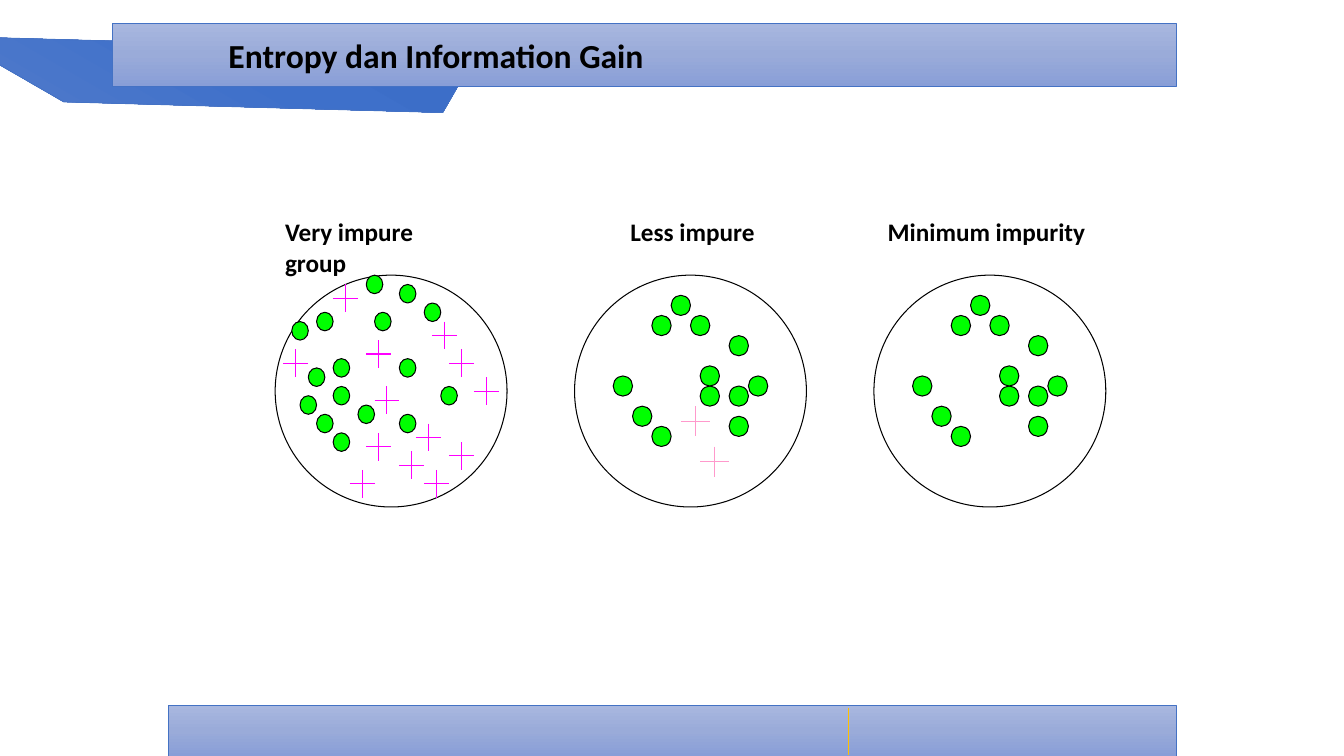
from copy import deepcopy

from lxml import etree
from pptx import Presentation
from pptx.dml.color import RGBColor
from pptx.enum.shapes import MSO_CONNECTOR as Connector, MSO_SHAPE as Shape
from pptx.enum.text import MSO_ANCHOR as Anchor, MSO_AUTO_SIZE as AutoSize, PP_ALIGN as Align
from pptx.oxml.ns import qn
from pptx.util import Inches, Pt

COLORS = {
    "black": "000000",
    "green": "00FF00",
    "magenta": "FF00FF",
    "pink": "FF99CC",
    "gold": "FFC000",
    "blue": "4472C4",
}
BAND = ["A8B7DF", "9AABD9", "889ED7"]
STRIPE = ["6183CB", "3E70CA", "3062BB"]

presentation = Presentation()
presentation.slide_width = Inches(13.33)
presentation.slide_height = Inches(7.5)
slide = presentation.slides.add_slide(presentation.slide_layouts[5])
COLUMN = presentation.slide_width / 160
ROW = presentation.slide_height / 90


def add_figure(kind, left, top, width, height, fills, line, points):
    shape = slide.shapes.add_shape(
        kind, round(left * COLUMN), round(top * ROW), round(width * COLUMN), round(height * ROW))
    shape.shadow.inherit = False
    shape.line.color.rgb = RGBColor.from_string(COLORS[line])
    shape.line.width = Pt(points)
    if not fills:
        shape.fill.background()
    elif len(fills) == 1:
        shape.fill.solid()
        shape.fill.fore_color.rgb = RGBColor.from_string(fills[0])
    else:
        shape.fill.gradient()
        shape.fill.gradient_angle = 270
        first_stop = shape._element.spPr.find(".//" + qn("a:gs"))
        first_stop.addnext(deepcopy(first_stop))
        for stop, position, color in zip(shape.fill.gradient_stops, (0, 0.5, 1), fills):
            stop.position = position
            stop.color.rgb = RGBColor.from_string(color)
    return shape


def add_stroke(x1, y1, x2, y2, color, points):
    stroke = slide.shapes.add_connector(
        Connector.STRAIGHT, round(x1 * COLUMN), round(y1 * ROW), round(x2 * COLUMN), round(y2 * ROW))
    stroke.line.color.rgb = RGBColor.from_string(COLORS[color])
    stroke.line.width = Pt(points)
    etree.SubElement(stroke._element.spPr, qn("a:effectLst"))


add_figure(Shape.RECTANGLE, 20, 84, 120, 6, BAND, "blue", 0.5)
add_stroke(101, 84.24, 101, 89.88, "gold", 1)
stripe = add_figure(Shape.DIAGONAL_STRIPE, -2.16, -9.72, 55.32, 29.88, STRIPE, "blue", 0.5)
stripe.adjustments[0] = 0.718
stripe.rotation = 210
add_figure(Shape.RECTANGLE, 13.44, 2.76, 126.6, 7.56, BAND, "blue", 0.5)

title = slide.shapes.title
slide.shapes._spTree.append(title._element)
title.left, title.top = round(26 * COLUMN), round(-1 * ROW)
title.width, title.height = round(108 * COLUMN), round(15 * ROW)

CIRCLE_LEFT, CIRCLE_TOP, CIRCLE_STEP, DIAMETER = 32.76, 32.76, 35.64, 27.6
mixed_dots = [
    (20, 12), (15, 9), (5, 4), (3, 13), (7, 12), (15, 1), (11, 0), (12, 4),
    (18, 3), (15, 15), (5, 15), (7, 17), (10, 14), (7, 9), (4, 10), (2, 5),
]
mixed_crosses = [
    (7, 1), (11, 7), (11, 17), (19, 5), (1, 8), (15, 19), (9, 21),
    (21, 18), (12, 12), (17, 16), (18, 21), (21, 8), (24, 11),
]
pure_dots = [
    (10, 2), (16, 11), (13, 11), (8, 4), (16, 14), (16, 6),
    (4, 10), (6, 13), (8, 15), (12, 4), (13, 9), (18, 10),
]
groups = [
    (28, 25, mixed_dots, mixed_crosses, "magenta"),
    (24, 23, pure_dots, [(11, 13), (13, 17)], "pink"),
    (24, 23, pure_dots, [], "pink"),
]
for index, (columns, rows, dots, crosses, cross_color) in enumerate(groups):
    circle_left = CIRCLE_LEFT + index * CIRCLE_STEP
    cell_width, cell_height = DIAMETER / columns, DIAMETER / rows
    add_figure(Shape.OVAL, circle_left, CIRCLE_TOP, DIAMETER, DIAMETER, [], "black", 0.75)
    for column, row in dots:
        add_figure(Shape.OVAL, circle_left + column * cell_width, CIRCLE_TOP + row * cell_height,
                   2 * cell_width, 2 * cell_height, [COLORS["green"]], "black", 0.75)
    for column, row in crosses:
        left, top = circle_left + column * cell_width, CIRCLE_TOP + row * cell_height
        right, bottom = left + 3 * cell_width, top + 3 * cell_height
        middle_x, middle_y = (left + right) / 2, (top + bottom) / 2
        add_stroke(left, middle_y, right, middle_y, cross_color, 0.75)
        add_stroke(middle_x, top, middle_x, bottom, cross_color, 0.75)

texts = [(title, "Entropy dan Information Gain", 24, Align.JUSTIFY, Anchor.MIDDLE)]
for left, width, label, alignment in [
    (32.76, 24.6, "Very impure group", Align.LEFT),
    (73.44, 18, "Less impure", Align.CENTER),
    (101, 32.9, "Minimum impurity", Align.CENTER),
]:
    box = slide.shapes.add_textbox(
        round(left * COLUMN), round(25.2 * ROW), round(width * COLUMN), round(4.8 * ROW))
    texts.append((box, label, 18, alignment, Anchor.TOP))

for shape, text, size, alignment, anchor in texts:
    frame = shape.text_frame
    frame.word_wrap = True
    frame.auto_size = AutoSize.NONE
    frame.vertical_anchor = anchor
    paragraph = frame.paragraphs[0]
    paragraph.alignment = alignment
    run = paragraph.add_run()
    run.text = text
    run.font.name = "Calibri"
    run.font.size = Pt(size)
    run.font.bold = True
    run.font.color.rgb = RGBColor.from_string(COLORS["black"])

presentation.save("out.pptx")
